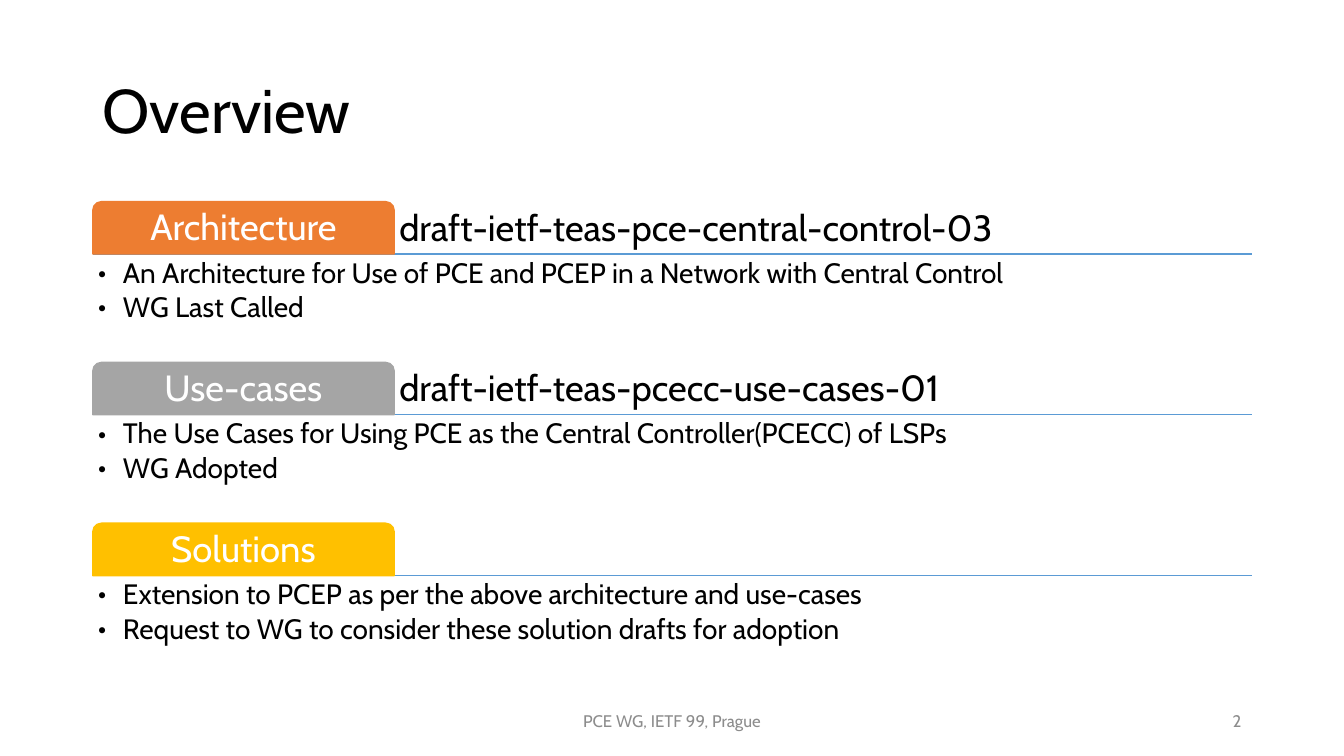
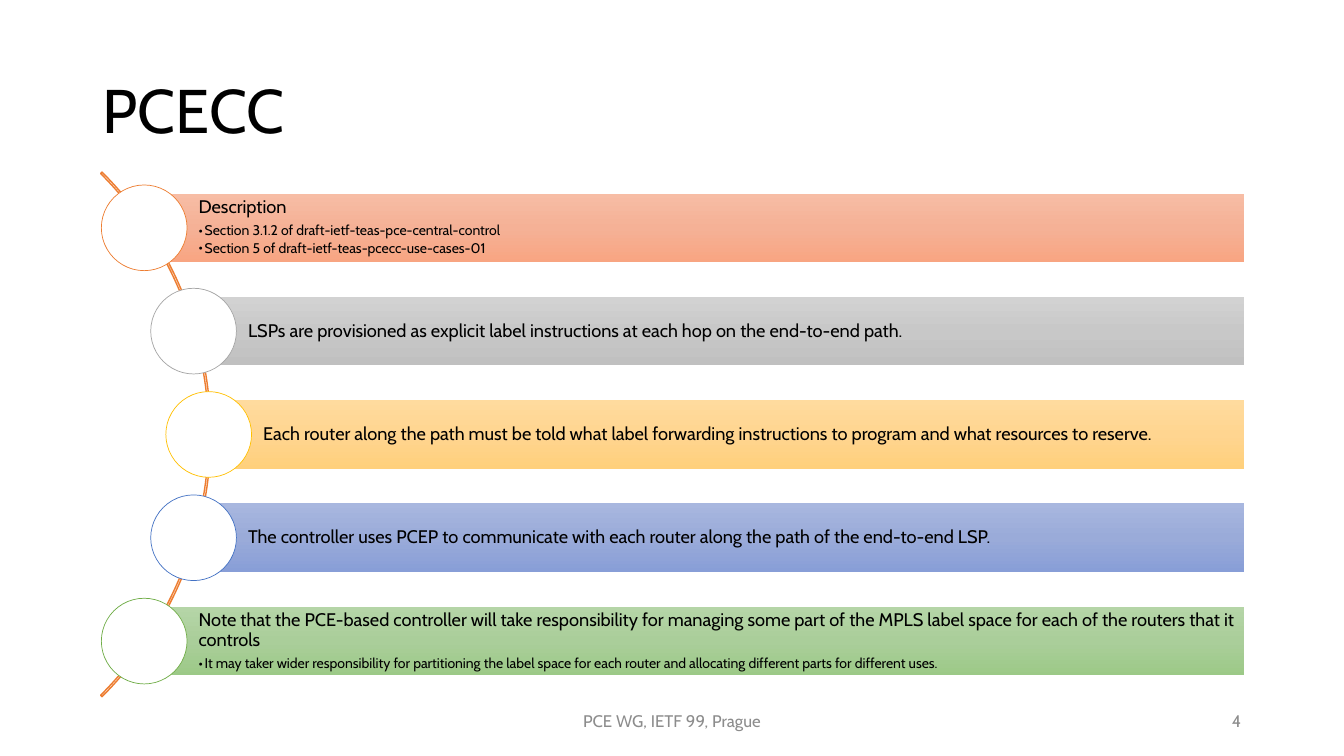
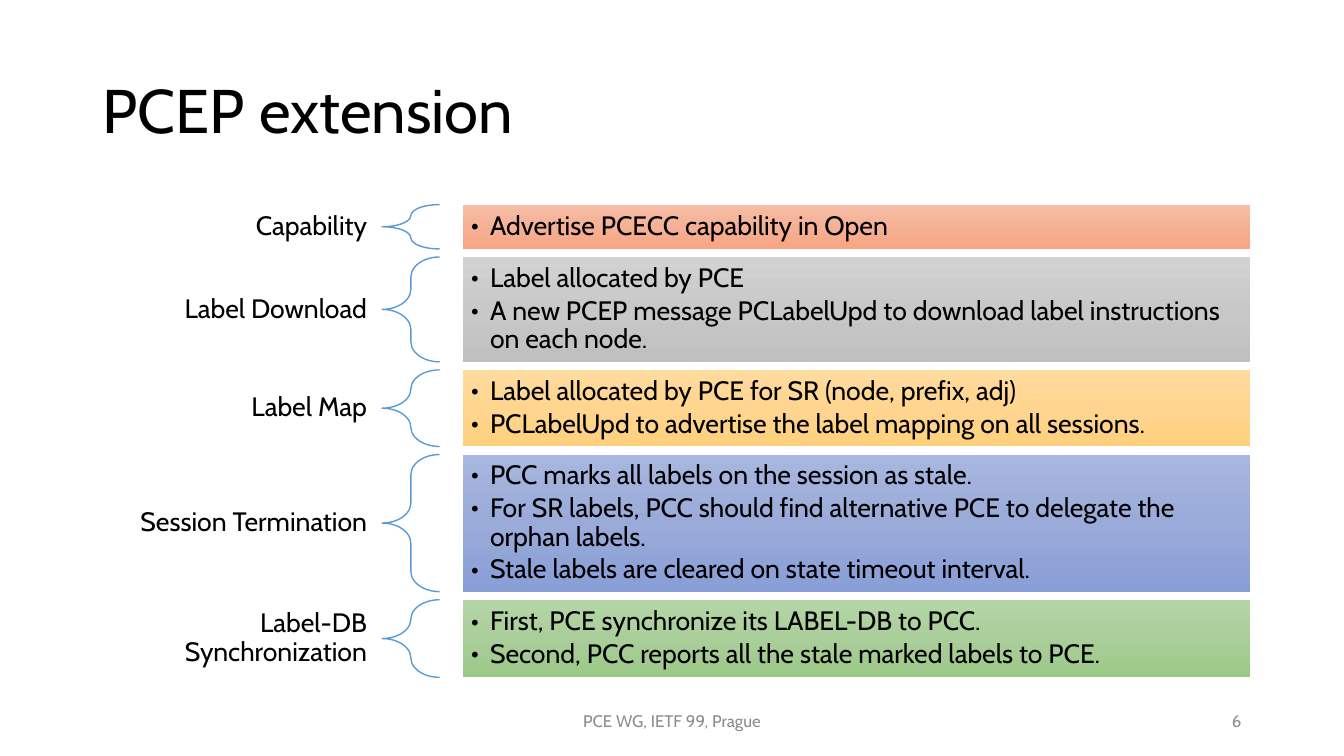
"""Build three slides on the PCE as a central controller."""
from copy import deepcopy

from lxml.etree import SubElement
from pptx import Presentation
from pptx.dml.color import RGBColor
from pptx.enum.shapes import MSO_CONNECTOR, MSO_SHAPE
from pptx.enum.text import MSO_ANCHOR, PP_ALIGN
from pptx.oxml.ns import qn
from pptx.util import Inches, Pt

FONT = "Cabin"
BLACK = RGBColor(0, 0, 0)
WHITE = RGBColor(0xFF, 0xFF, 0xFF)
GREY = RGBColor(0x8C, 0x8C, 0x8C)
BLUE = RGBColor(0x5B, 0x9B, 0xD5)
ACCENTS = [RGBColor.from_string(c) for c in ("ED7D31", "A5A5A5", "FFC000", "4472C4", "70AD47")]
GRADIENTS = [[RGBColor.from_string(c) for c in row] for row in (
    ("F7BDA5", "F5B196", "F8A582"),
    ("D2D2D2", "C8C8C8", "C0C0C0"),
    ("FFDB9E", "FFD590", "FFD07C"),
    ("A8B7DF", "9AABD9", "889ED7"),
    ("B5D5A7", "AACE9A", "9CC987"),
)]
LEFT, WIDTH = 0.92, 11.5
FOOTER = "PCE WG, IETF 99, Prague"

DRAFTS = [
    ("Architecture", "draft-ietf-teas-pce-central-control-03",
     ["An Architecture for Use of PCE and PCEP in a Network with Central Control",
      "WG Last Called"]),
    ("Use-cases", "draft-ietf-teas-pcecc-use-cases-01",
     ["The Use Cases for Using PCE as the Central Controller(PCECC) of LSPs",
      "WG Adopted"]),
    ("Solutions", "",
     ["Extension to PCEP as per the above architecture and use-cases",
      "Request to WG to consider these solution drafts for adoption"]),
]
STEPS = [
    (1.43, "Description",
     ["Section 3.1.2 of draft-ietf-teas-pce-central-control",
      "Section 5 of draft-ietf-teas-pcecc-use-cases-01"]),
    (1.92, "LSPs are provisioned as explicit label instructions at each hop on the "
           "end-to-end path.", []),
    (2.07, "Each router along the path must be told what label forwarding instructions "
           "to program and what resources to reserve.", []),
    (1.92, "The controller uses PCEP to communicate with each router along the path of "
           "the end-to-end LSP.", []),
    (1.43, "Note that the PCE-based controller will take responsibility for managing some "
           "part of the MPLS label space for each of the routers that it controls",
     ["It may taker wider responsibility for partitioning the label space for each router "
      "and allocating different parts for different uses."]),
]
EXTENSIONS = [
    ("Capability", 0.44, ["Advertise PCECC capability in Open"]),
    ("Label Download", 1.04,
     ["Label allocated by PCE",
      "A new PCEP message PCLabelUpd to download label instructions on each node."]),
    ("Label Map", 0.76,
     ["Label allocated by PCE for SR (node, prefix, adj)",
      "PCLabelUpd to advertise the label mapping on all sessions."]),
    ("Session Termination", 1.36,
     ["PCC marks all labels on the session as stale.",
      "For SR labels, PCC should find alternative PCE to delegate the orphan labels.",
      "Stale labels are cleared on state timeout interval."]),
    ("Label-DB Synchronization", 0.77,
     ["First, PCE synchronize its LABEL-DB to PCC.",
      "Second, PCC reports all the stale marked labels to PCE."]),
]


def inches(*values):
    return [Inches(v) for v in values]


def para(text, size, color=BLACK, align=PP_ALIGN.LEFT, after=0.35, bullet=0, spacing=0.9):
    return dict(text=text, size=size, color=color, align=align, after=after,
                bullet=bullet, spacing=spacing)


def bullets(lines, size, indent):
    return [para(line, size, after=0.15, bullet=indent) for line in lines]


def write(sp, paras, anchor=MSO_ANCHOR.MIDDLE, insets=(0.05, 0.05, 0.05, 0.05)):
    tf = sp.text_frame
    sides = ("margin_left", "margin_top", "margin_right", "margin_bottom")
    frame = dict(zip(sides, inches(*insets)), word_wrap=True, vertical_anchor=anchor)
    for name, value in frame.items():
        setattr(tf, name, value)
    for i, item in enumerate(paras):
        p = tf.add_paragraph() if i else tf.paragraphs[0]
        p.alignment = item["align"]
        p.line_spacing = item["spacing"]
        p.space_after = Pt(item["after"] * item["size"])
        if item["bullet"]:
            pPr = p._p.get_or_add_pPr()
            pPr.set("marL", str(Inches(item["bullet"])))
            pPr.set("indent", str(-Inches(item["bullet"])))
            SubElement(pPr, qn("a:buFont")).set("typeface", FONT)
            SubElement(pPr, qn("a:buChar")).set("char", "•")
        r = p.add_run()
        r.text = item["text"]
        font = dict(name=FONT, size=Pt(item["size"]))
        for name, value in font.items():
            setattr(r.font, name, value)
        r.font.color.rgb = item["color"]


def add_text(s, box, paras, **frame):
    write(s.shapes.add_textbox(*inches(*box)), paras, **frame)


def add_shape(s, kind, box, fill=None, line=None, weight=1, adjust=()):
    sp = s.shapes.add_shape(kind, *inches(*box))
    sp.shadow.inherit = False
    for i, value in enumerate(adjust):
        sp.adjustments[i] = value
    if fill is None:
        sp.fill.background()
    elif isinstance(fill, list):
        sp.fill.gradient()
        sp.fill.gradient_angle = 270
        first = sp._element.spPr.find(".//" + qn("a:gs"))
        first.addnext(deepcopy(first))
        for i, (stop, color) in enumerate(zip(sp.fill.gradient_stops, fill)):
            stop.position = i / 2
            stop.color.rgb = color
    else:
        sp.fill.solid()
        sp.fill.fore_color.rgb = fill
    if line is None:
        sp.line.fill.background()
    else:
        sp.line.color.rgb = line
        sp.line.width = Pt(weight)
    return sp


def add_rule(s, y):
    c = s.shapes.add_connector(MSO_CONNECTOR.STRAIGHT, *inches(LEFT, y, LEFT + WIDTH, y))
    c.line.color.rgb = BLUE
    c.line.width = Pt(1)
    SubElement(c._element.spPr, qn("a:effectLst"))


def new_slide(prs, title, number):
    s = prs.slides.add_slide(prs.slide_layouts[6])
    for box, item in (
        ((LEFT, 0.4, WIDTH, 1.45), para(title, 44, after=0)),
        ((5.08, 6.95, 3.17, 0.4), para(FOOTER, 12, GREY, PP_ALIGN.CENTER, 0, spacing=1)),
        ((8.83, 6.95, 3.58, 0.4), para(str(number), 12, GREY, PP_ALIGN.RIGHT, 0, spacing=1)),
    ):
        add_text(s, box, [item], insets=(0.1, 0.05, 0.1, 0.05))
    return s


def overview(prs):
    s = new_slide(prs, "Overview", 2)
    tab_w, tab_h, pitch = 2.99, 0.52, 3.19 / 2
    for i, (name, draft, notes) in enumerate(DRAFTS):
        top = 2 + i * pitch
        base = top + tab_h
        add_rule(s, base)
        tab = add_shape(s, MSO_SHAPE.ROUND_2_SAME_RECTANGLE, (LEFT, top, tab_w, tab_h),
                        ACCENTS[i], ACCENTS[i], adjust=(1 / 6, 0))
        write(tab, [para(name, 26, WHITE, PP_ALIGN.CENTER)])
        if draft:
            add_text(s, (LEFT + tab_w, top, WIDTH - tab_w, tab_h), [para(draft, 26)],
                     anchor=MSO_ANCHOR.BOTTOM)
        add_text(s, (LEFT, base, WIDTH, 1.05), bullets(notes, 20, 0.25),
                 anchor=MSO_ANCHOR.TOP)


def pcecc(prs):
    s = new_slide(prs, "PCECC", 4)
    arc, bar_h, dot, right = 7.36, 0.68, 0.85, 12.34
    add_shape(s, MSO_SHAPE.BLOCK_ARC, (-5.27, 0.63, arc, arc), line=ACCENTS[0],
              adjust=(189, 27, 0.02 / arc))
    for i, (left, text, notes) in enumerate(STEPS):
        middle = 2.26 + i * 4.1 / 4
        bar = add_shape(s, MSO_SHAPE.RECTANGLE,
                        (left, middle - bar_h / 2, right - left, bar_h), GRADIENTS[i])
        write(bar, [para(text, 13)] + bullets(notes, 10, 0.06),
              anchor=MSO_ANCHOR.TOP if notes else MSO_ANCHOR.MIDDLE,
              insets=(0.54, 0.04, 0.04, 0.04))
        add_shape(s, MSO_SHAPE.OVAL, (left - dot / 2, middle - dot / 2, dot, dot),
                  WHITE, ACCENTS[i], 0.5)


def extension(prs):
    s = new_slide(prs, "PCEP extension", 6)
    top, gap = 2.03, 0.08
    for i, (label, height, notes) in enumerate(EXTENSIONS):
        add_text(s, (LEFT, top, 2.87, height), [para(label, 19, align=PP_ALIGN.RIGHT)],
                 insets=(0.15, 0.05, 0.15, 0.05))
        add_shape(s, MSO_SHAPE.LEFT_BRACE, (3.79, top, 0.57, height), line=BLUE,
                  adjust=(0.35, 0.5))
        panel = add_shape(s, MSO_SHAPE.RECTANGLE, (4.59, top, 7.81, height), GRADIENTS[i])
        write(panel, bullets(notes, 19, 0.19), insets=(0.08, 0.08, 0.08, 0.08))
        top += height + gap


def main():
    prs = Presentation()
    prs.slide_width, prs.slide_height = inches(13.33, 7.5)
    for build in (overview, pcecc, extension):
        build(prs)
    prs.save("out.pptx")


if __name__ == "__main__":
    main()
